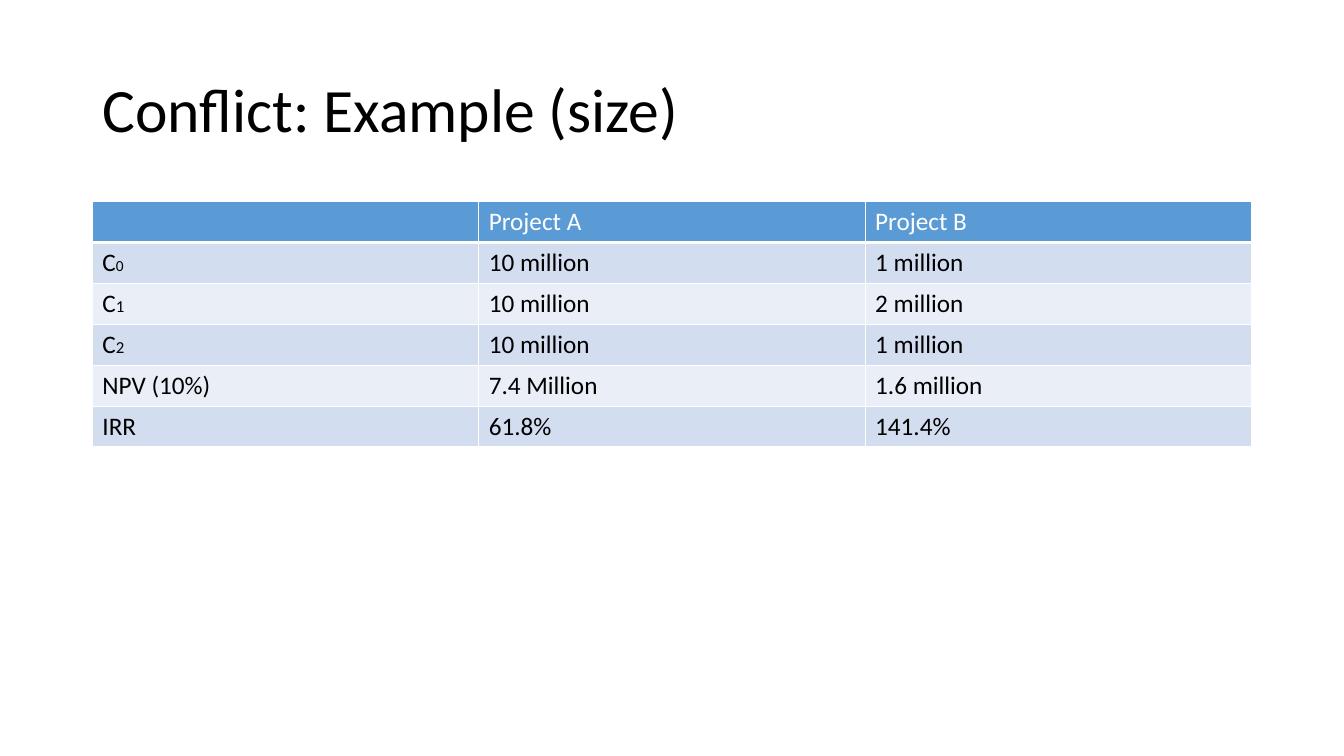
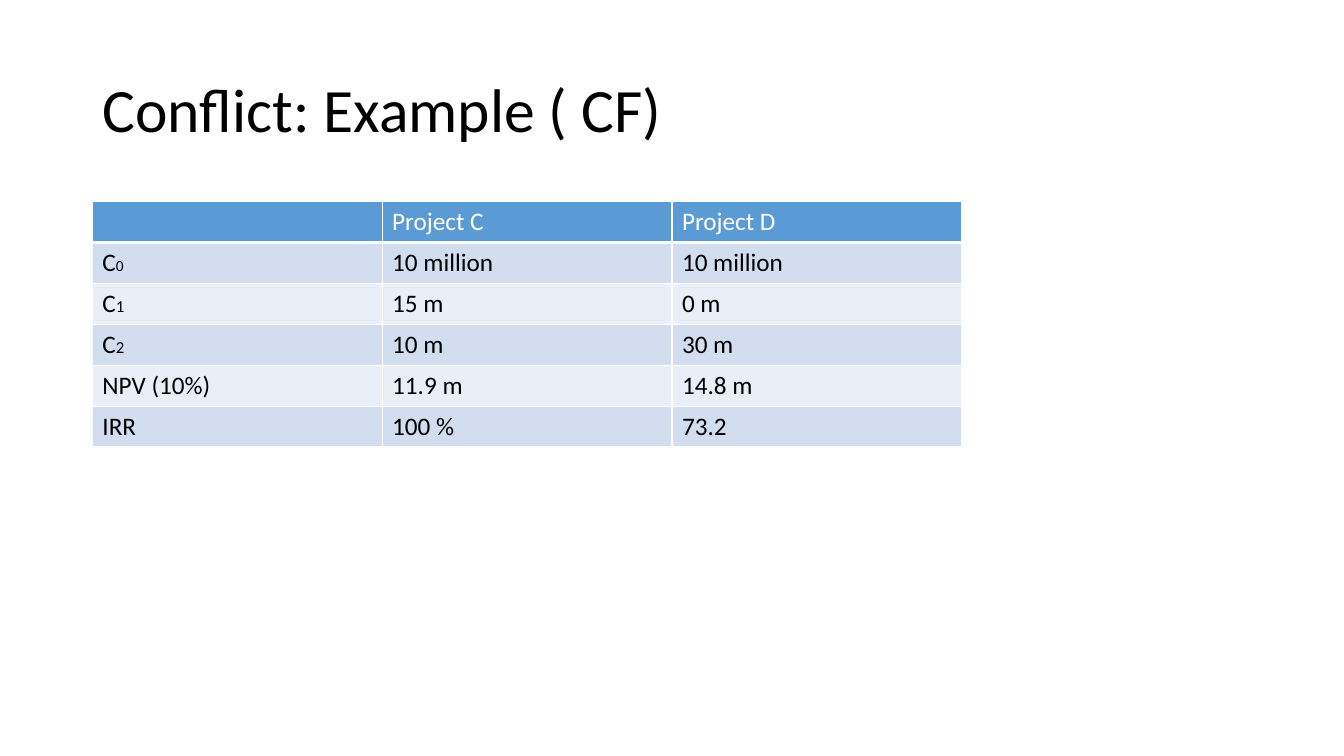
from dataclasses import dataclass

from lxml.etree import SubElement
from pptx import Presentation
from pptx.dml.color import RGBColor
from pptx.enum.text import MSO_ANCHOR as Anchor, PP_ALIGN as Align
from pptx.oxml.ns import qn
from pptx.util import Emu, Pt

PX = 9525  # EMU in one px, 96 px to the inch


@dataclass(frozen=True)
class Theme:
    font: str = "Calibri"
    text: str = "000000"
    light: str = "FFFFFF"
    header: str = "5B9BD5"
    bands: tuple[str, str] = ("D2DEEF", "EAEFF7")
    title_size: int = 44
    cell_size: int = 18
    line: int = 1
    header_line: int = 3


@dataclass(frozen=True)
class Run:
    text: str
    size: int


@dataclass(frozen=True)
class ProjectSlide:
    title: str
    column_width: int
    projects: tuple[str, str]
    values: tuple[tuple[str, str], ...]


THEME = Theme()
SLIDE_SIZE = (1280, 720)
TITLE_BOX = (88, 38, 1104, 139)
TABLE_LEFT, TABLE_TOP, ROW_HEIGHT = 88, 192, 39


def cash_flow(period: str, size: int) -> tuple[Run, Run]:
    return Run("C", THEME.cell_size), Run(period, size)


ROW_LABELS = (
    cash_flow("0", 11),
    cash_flow("1", 12),
    cash_flow("2", 12),
    (Run("NPV (10%)", THEME.cell_size),),
    (Run("IRR", THEME.cell_size),),
)

SLIDES = (
    ProjectSlide(
        "Conflict: Example (size)", 368, ("Project A", "Project B"),
        (("10 million", "1 million"), ("10 million", "2 million"),
         ("10 million", "1 million"), ("7.4 Million", "1.6 million"),
         ("61.8%", "141.4%")),
    ),
    ProjectSlide(
        "Conflict: Example ( CF)", 276, ("Project C", "Project D"),
        (("10 million", "10 million"), ("15 m", "0 m"), ("10 m", "30 m"),
         ("11.9 m", "14.8 m"), ("100 %", "73.2")),
    ),
)


def px(length: int) -> Emu:
    return Emu(length * PX)


def add_run(paragraph, content: Run, color: str) -> None:
    run = paragraph.add_run()
    run.text = content.text
    run.font.name = THEME.font
    run.font.size = Pt(content.size)
    run.font.bold = False
    run.font.color.rgb = RGBColor.from_string(color)


def add_title(slide, text: str) -> None:
    title = slide.shapes.title
    title.left, title.top, title.width, title.height = map(px, TITLE_BOX)
    frame = title.text_frame
    frame.vertical_anchor = Anchor.MIDDLE
    frame.word_wrap = True
    paragraph = frame.paragraphs[0]
    paragraph.alignment = Align.LEFT
    paragraph.line_spacing = 0.9
    add_run(paragraph, Run(text, THEME.title_size), THEME.text)


def set_borders(cell, bottom: int) -> None:
    properties = cell._tc.get_or_add_tcPr()
    widths = {"lnL": THEME.line, "lnR": THEME.line, "lnT": THEME.line, "lnB": bottom}
    for side, width in widths.items():
        line = SubElement(properties, qn(f"a:{side}"), w=str(Pt(width)))
        fill = SubElement(line, qn("a:solidFill"))
        SubElement(fill, qn("a:srgbClr"), val=THEME.light)


def fill_cell(cell, runs: tuple[Run, ...], row: int) -> None:
    is_header = row == 0
    set_borders(cell, THEME.header_line if is_header else THEME.line)
    cell.fill.solid()
    background = THEME.header if is_header else THEME.bands[(row - 1) % 2]
    cell.fill.fore_color.rgb = RGBColor.from_string(background)
    for run in runs:
        add_run(cell.text_frame.paragraphs[0], run, THEME.light if is_header else THEME.text)


def add_project_table(slide, content: ProjectSlide) -> None:
    # The header's first cell is empty
    labels = ((),) + ROW_LABELS
    values = (content.projects,) + content.values
    columns = 1 + len(content.projects)
    table = slide.shapes.add_table(
        len(labels), columns, px(TABLE_LEFT), px(TABLE_TOP),
        px(columns * content.column_width), px(len(labels) * ROW_HEIGHT),
    ).table
    for row, (label, texts) in enumerate(zip(labels, values)):
        cells = (label, *((Run(text, THEME.cell_size),) for text in texts))
        for column, runs in enumerate(cells):
            fill_cell(table.cell(row, column), runs, row)


def main() -> None:
    presentation = Presentation()
    presentation.slide_width, presentation.slide_height = map(px, SLIDE_SIZE)
    title_only = presentation.slide_layouts.get_by_name("Title Only")
    for content in SLIDES:
        slide = presentation.slides.add_slide(title_only)
        add_title(slide, content.title)
        add_project_table(slide, content)
    presentation.save("out.pptx")


if __name__ == "__main__":
    main()
